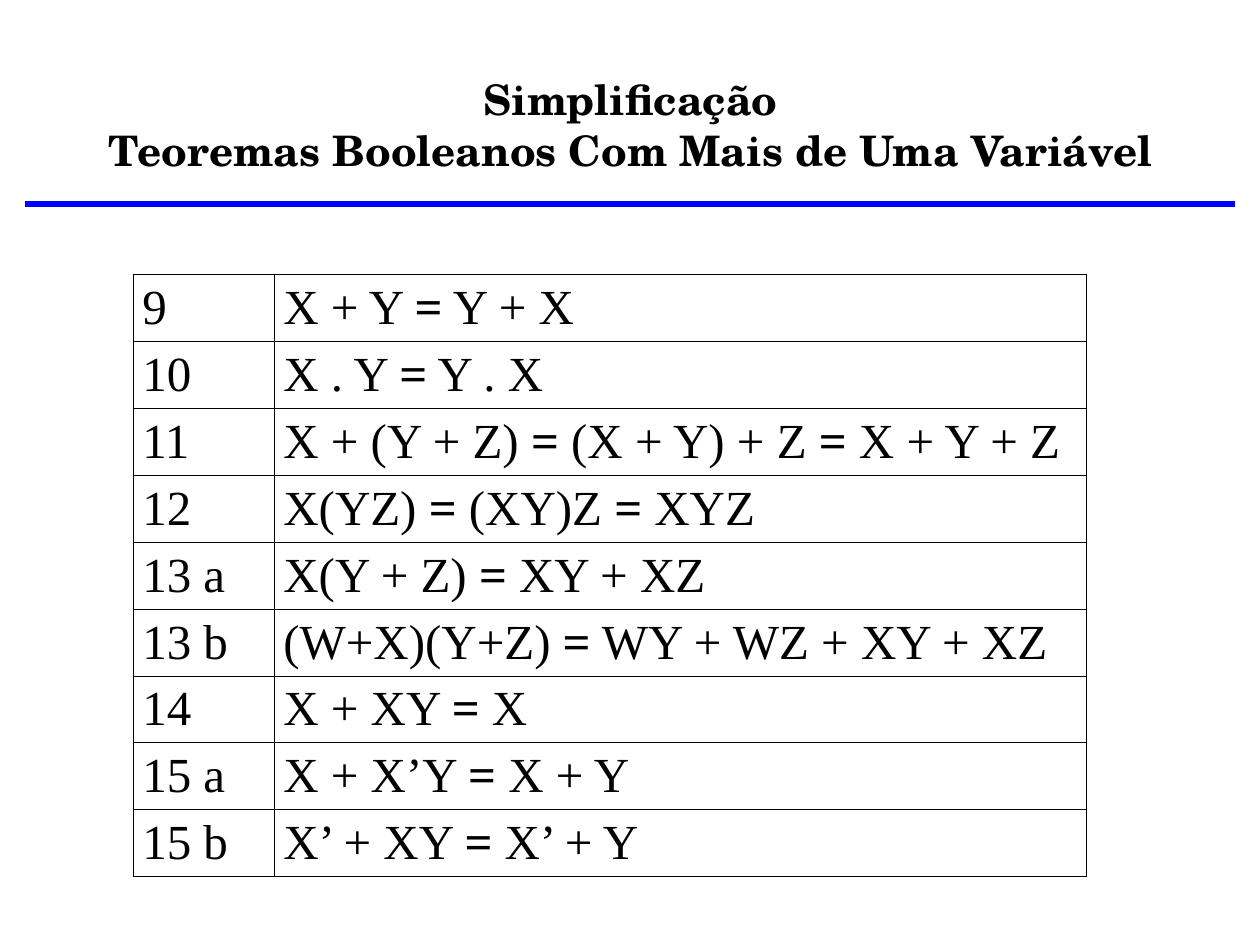
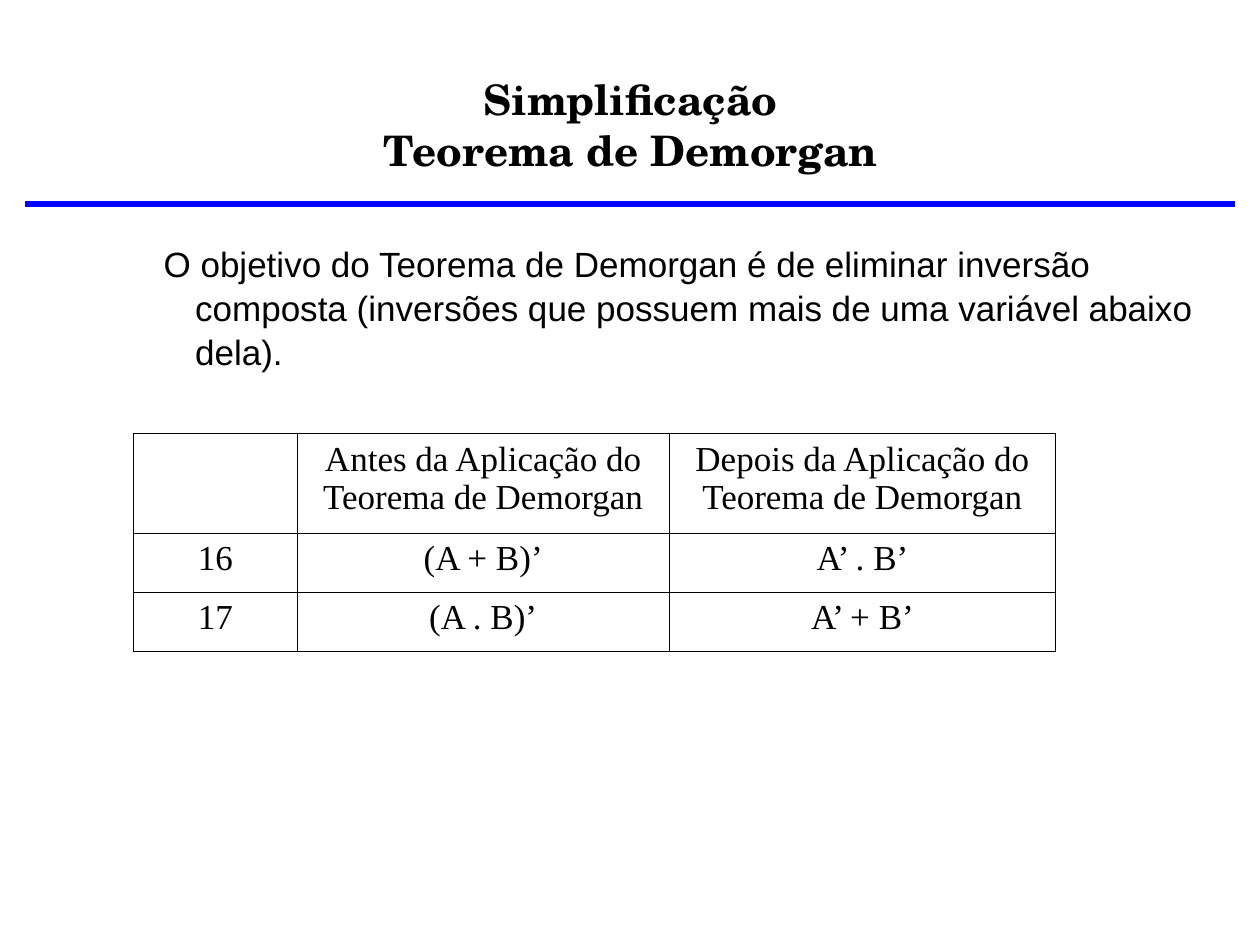
from lxml.etree import SubElement
from pptx import Presentation
from pptx.dml.color import RGBColor
from pptx.enum.shapes import MSO_CONNECTOR
from pptx.enum.text import MSO_ANCHOR, MSO_AUTO_SIZE, PP_ALIGN
from pptx.oxml import parse_xml
from pptx.oxml.ns import nsdecls, qn
from pptx.util import Inches, Pt

COLORS = {"text": "000000", "rule": "0000FF", "border": "000000"}
FONTS = {"title": "TeX Gyre Schola", "body": "Arial", "table": "Times New Roman"}
MARGIN = 0.2
CONTENT_WIDTH = 9.61
RULE_TOP = 1.62
TABLE_LEFT = 1.06
ROW_HEIGHT = 0.47

THEOREMS = [
    ("9", "X + Y = Y + X"),
    ("10", "X . Y = Y . X"),
    ("11", "X + (Y + Z) = (X + Y) + Z = X + Y + Z"),
    ("12", "X(YZ) = (XY)Z = XYZ"),
    ("13 a", "X(Y + Z) = XY + XZ"),
    ("13 b", "(W+X)(Y+Z) = WY + WZ + XY + XZ"),
    ("14", "X + XY = X"),
    ("15 a", "X + X’Y = X + Y"),
    ("15 b", "X’ + XY = X’ + Y"),
]
DEMORGAN = [
    ("", "Antes da Aplicação do Teorema de Demorgan",
     "Depois da Aplicação do Teorema de Demorgan"),
    ("16", "(A + B)’", "A’ . B’"),
    ("17", "(A . B)’", "A’ + B’"),
]


class Deck:
    def __init__(self):
        self.presentation = Presentation()
        self.presentation.slide_width = Inches(10)
        self.presentation.slide_height = Inches(7.5)
        self.slide = None

    def style_runs(self, paragraph, font, size, bold=False):
        for run in paragraph.runs:
            run.font.name = FONTS[font]
            run.font.size = Pt(size)
            run.font.bold = bold
            run.font.color.rgb = RGBColor.from_string(COLORS["text"])

    def add_slide(self, topic):
        layout = self.presentation.slide_layouts[5]
        self.slide = self.presentation.slides.add_slide(layout)
        title = self.slide.shapes.title
        title.left, title.top = Inches(MARGIN), Inches(0.47)
        title.width, title.height = Inches(CONTENT_WIDTH), Inches(1.03)
        frame = title.text_frame
        frame.text = f"Simplificação\v{topic}"
        frame.auto_size = MSO_AUTO_SIZE.NONE
        frame.vertical_anchor = MSO_ANCHOR.MIDDLE
        frame.paragraphs[0].alignment = PP_ALIGN.CENTER
        self.style_runs(frame.paragraphs[0], "title", 24, bold=True)
        self.add_rule()

    def add_rule(self):
        rule = self.slide.shapes.add_connector(
            MSO_CONNECTOR.STRAIGHT, Inches(MARGIN), Inches(RULE_TOP),
            Inches(10 - MARGIN), Inches(RULE_TOP))
        rule.line.color.rgb = RGBColor.from_string(COLORS["rule"])
        rule.line.width = Pt(3)
        SubElement(rule._element.spPr, qn("a:effectLst"))

    def add_body(self, text):
        body = self.slide.shapes.add_textbox(
            Inches(MARGIN), Inches(1.86), Inches(CONTENT_WIDTH), Inches(5.39))
        frame = body.text_frame
        frame.word_wrap = True
        frame.text = text
        paragraph = frame.paragraphs[0]
        paragraph.level = 2
        paragraph.space_before = Pt(5)
        paragraph.line_spacing = 1.05
        properties = paragraph._p.get_or_add_pPr()
        properties.set("marL", str(Inches(1.25)))
        properties.set("indent", str(Inches(-0.25)))
        self.style_runs(paragraph, "body", 20)

    def add_table(self, top, rows, widths, heights, size, alignment):
        table = self.slide.shapes.add_table(
            len(rows), len(widths), Inches(TABLE_LEFT), Inches(top),
            Inches(sum(widths)), Inches(sum(heights))).table
        table.first_row = table.horz_banding = False
        for column, width in zip(table.columns, widths):
            column.width = Inches(width)
        for row, height, texts in zip(table.rows, heights, rows):
            row.height = Inches(height)
            for cell, text in zip(row.cells, texts):
                self.fill_cell(cell, text, size, alignment)

    def fill_cell(self, cell, text, size, alignment):
        cell.margin_left = cell.margin_right = Inches(0.07)
        cell.margin_top = cell.margin_bottom = Inches(0.05)
        self.add_borders(cell)
        cell.fill.background()
        paragraph = cell.text_frame.paragraphs[0]
        paragraph.alignment = alignment
        for index, part in enumerate(text.split("=")):
            if index:
                paragraph.add_run().text = "="
            if part:
                paragraph.add_run().text = part
        self.style_runs(paragraph, "table", size)
        for run in paragraph.runs:
            run.font.bold = run.text == "="

    def add_borders(self, cell):
        properties = cell._tc.get_or_add_tcPr()
        for side in "LRTB":
            properties.append(parse_xml(
                f'<a:ln{side} {nsdecls("a")} w="{Pt(0.45)}"><a:solidFill>'
                f'<a:srgbClr val="{COLORS["border"]}"/></a:solidFill></a:ln{side}>'))


def main():
    deck = Deck()

    deck.add_slide("Teoremas Booleanos Com Mais de Uma Variável")
    deck.add_table(2.18, THEOREMS, [1.12, 6.44], [ROW_HEIGHT] * len(THEOREMS),
                   28, PP_ALIGN.LEFT)

    deck.add_slide("Teorema de Demorgan")
    deck.add_body("O objetivo do Teorema de Demorgan é de eliminar inversão composta "
                  "(inversões que possuem mais de uma variável abaixo dela).")
    deck.add_table(3.44, DEMORGAN, [1.3, 2.95, 3.07], [0.79, ROW_HEIGHT, ROW_HEIGHT],
                   20, PP_ALIGN.CENTER)

    deck.presentation.save("out.pptx")


if __name__ == "__main__":
    main()
